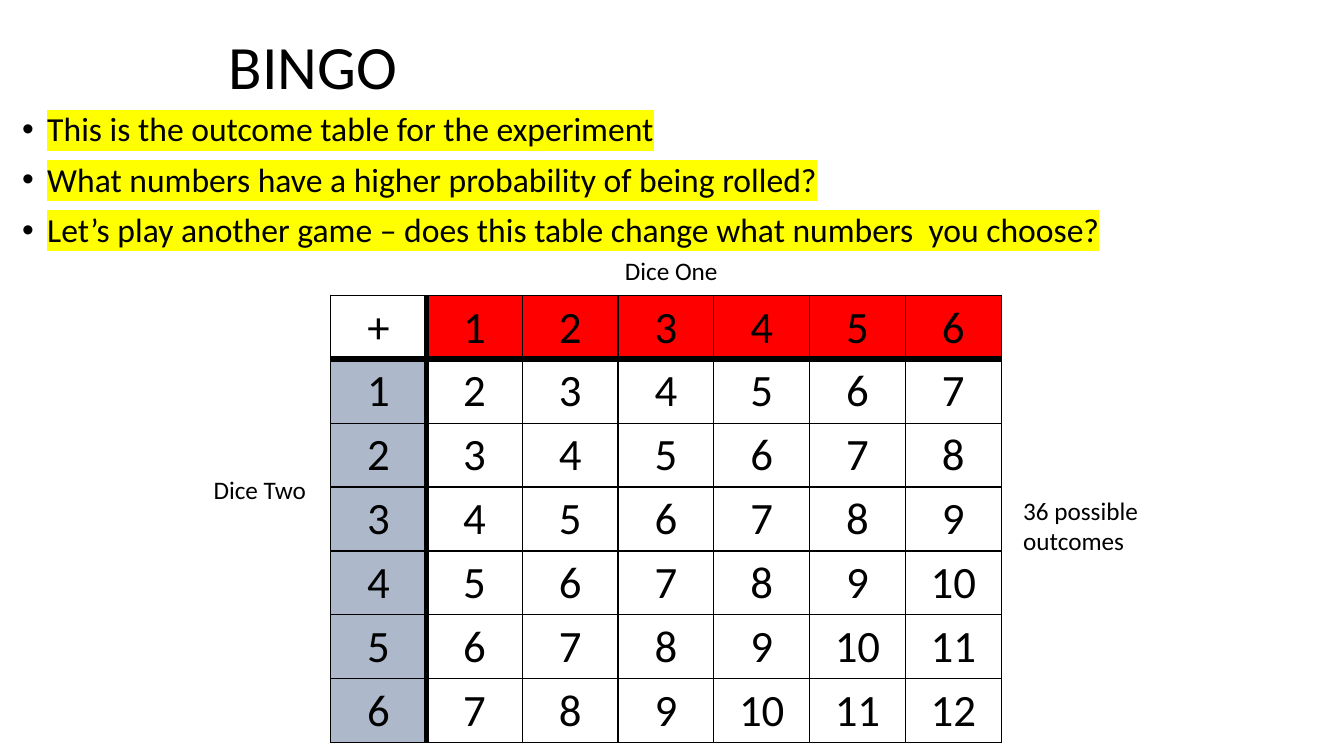
from lxml import etree
from pptx import Presentation
from pptx.dml.color import RGBColor
from pptx.enum.text import MSO_ANCHOR, MSO_AUTO_SIZE, PP_ALIGN
from pptx.oxml import parse_xml
from pptx.oxml.ns import nsdecls, qn
from pptx.util import Inches, Pt

BLACK, RED, BLUE_GREY, YELLOW = "000000", "FF0000", "ADB9CA", "FFFF00"


def add_run(p, text, size):
    r = p.add_run()
    r.text = text
    r.font.size = Pt(size)
    r.font.name = "Calibri"
    r.font.color.rgb = RGBColor.from_string(BLACK)
    return r


def add_text_box(left, top, width, height, wrap=True):
    tf = s.shapes.add_textbox(Inches(left), Inches(top), Inches(width), Inches(height)).text_frame
    tf.word_wrap = wrap
    return tf


prs = Presentation()
prs.slide_width, prs.slide_height = Inches(13.33), Inches(7.5)
s = prs.slides.add_slide(prs.slide_layouts[6])

# Title
tf = add_text_box(2.17, 0.06, 9, 1.25)
tf.vertical_anchor = MSO_ANCHOR.MIDDLE
p = tf.paragraphs[0]
p.line_spacing = 0.9
add_run(p, "BINGO", 44)

# Highlighted bullets
bullets = [
    "This is the outcome table for the experiment",
    "What numbers have a higher probability of being rolled?",
    "Let’s play another game – does this table change what numbers  you choose?",
]
tf = add_text_box(0.12, 1.07, 11.05, 5.63)
for i, text in enumerate(bullets):
    p = tf.paragraphs[0] if i == 0 else tf.add_paragraph()
    p.line_spacing = 0.9
    if i:
        p.space_before = Pt(10)
    pPr = p._p.get_or_add_pPr()
    pPr.set("marL", str(Inches(0.25)))
    pPr.set("indent", str(-Inches(0.25)))
    etree.SubElement(pPr, qn("a:buFont")).set("typeface", "Arial")
    etree.SubElement(pPr, qn("a:buChar")).set("char", "•")
    r = add_run(p, text, 24)
    r._r.rPr.find(qn("a:solidFill")).addnext(parse_xml(
        f'<a:highlight {nsdecls("a")}><a:srgbClr val="{YELLOW}"/></a:highlight>'))

# Sums of two dice
SIZE, COL_W, ROW_H = 7, 0.95, 0.61
table = s.shapes.add_table(SIZE, SIZE, Inches(3.28), Inches(2.93),
                           Inches(6.64), Inches(4.43)).table
table.first_row = table.horz_banding = False
for i in range(SIZE):
    table.columns[i].width = Inches(COL_W)
    table.rows[i].height = Inches(ROW_H)

for row in range(SIZE):
    for col in range(SIZE):
        cell = table.cell(row, col)
        p = cell.text_frame.paragraphs[0]
        p.alignment = PP_ALIGN.CENTER
        add_run(p, str(row + col) if row + col else "+", 32)

        # Thick lines set the header row and column apart
        thick = {"L": col == 1, "R": col == 0, "T": row == 1, "B": row == 0}
        tcPr = cell._tc.get_or_add_tcPr()
        for side, is_thick in thick.items():
            width = Pt(4.5 if is_thick else 1)
            tcPr.append(parse_xml(
                f'<a:ln{side} {nsdecls("a")} w="{width}"><a:solidFill>'
                f'<a:srgbClr val="{BLACK}"/></a:solidFill></a:ln{side}>'))

        if (row == 0) == (col == 0):
            cell.fill.background()
        else:
            cell.fill.solid()
            cell.fill.fore_color.rgb = RGBColor.from_string(RED if row == 0 else BLUE_GREY)

# Table labels
labels = [
    ("Dice One", 6.1, 2.48, 1.13, 0.4, False),
    ("Dice Two", 2.02, 4.66, 1.13, 0.4, False),
    ("36 possible outcomes", 10.05, 4.86, 1.37, 0.71, True),
]
for text, left, top, width, height, wrap in labels:
    tf = add_text_box(left, top, width, height, wrap)
    tf.auto_size = MSO_AUTO_SIZE.SHAPE_TO_FIT_TEXT
    add_run(tf.paragraphs[0], text, 18)

prs.save("out.pptx")
